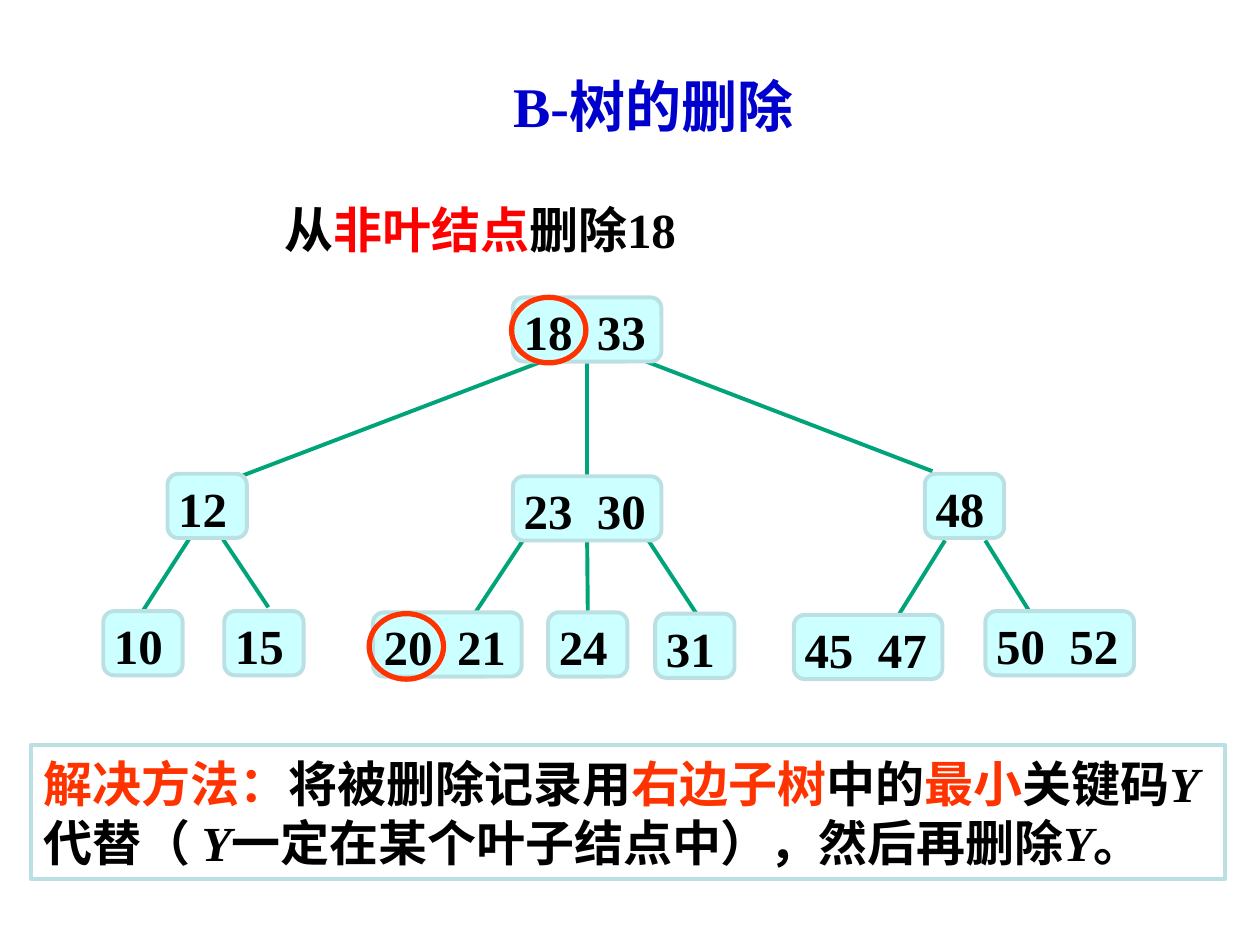
from lxml.etree import SubElement
from pptx import Presentation
from pptx.dml.color import RGBColor
from pptx.enum.shapes import MSO_CONNECTOR, MSO_SHAPE
from pptx.enum.text import MSO_ANCHOR, PP_ALIGN
from pptx.oxml.ns import qn
from pptx.util import Inches, Pt

BLACK, RED, ORANGE, BLUE = "000000", "FF0000", "FF3300", "0000CC"
PALE, BORDER, GREEN = "CCFFFF", "BBE0E3", "00A479"
SERIF = "Times New Roman"

presentation = Presentation()
presentation.slide_width = Inches(10)
presentation.slide_height = Inches(7.5)
slide = presentation.slides.add_slide(presentation.slide_layouts[6])


def add_outlined(kind, left, top, width, height, line_color, line_width, fill=None):
    shape = slide.shapes.add_shape(kind, Inches(left), Inches(top), Inches(width), Inches(height))
    shape.shadow.inherit = False
    shape.line.color.rgb = RGBColor.from_string(line_color)
    shape.line.width = Pt(line_width)
    if fill:
        shape.fill.solid()
        shape.fill.fore_color.rgb = RGBColor.from_string(fill)
    else:
        shape.fill.background()
    return shape


def write_runs(shape, runs, size, alignment, anchor, wrap=True):
    frame = shape.text_frame
    frame.word_wrap = wrap
    frame.vertical_anchor = anchor
    paragraph = frame.paragraphs[0]
    paragraph.alignment = alignment
    for text, color, font, italic in runs:
        run = paragraph.add_run()
        run.text = text
        run.font.name = font
        run.font.size = Pt(size)
        run.font.bold = True
        run.font.italic = italic
        run.font.color.rgb = RGBColor.from_string(color)


title = slide.shapes.add_textbox(Inches(2.9), Inches(0.52), Inches(4.57), Inches(0.63))
write_runs(title, [("B-树的删除", BLUE, SERIF, False)], 32, PP_ALIGN.CENTER, MSO_ANCHOR.TOP)

subtitle = slide.shapes.add_textbox(Inches(2.16), Inches(1.53), Inches(3.45), Inches(0.57))
subtitle_runs = [
    ("从", BLACK, SERIF, False),
    ("非叶结点", RED, "Arial", False),
    ("删除18", BLACK, SERIF, False),
]
write_runs(subtitle, subtitle_runs, 28, PP_ALIGN.LEFT, MSO_ANCHOR.MIDDLE, wrap=False)

method = add_outlined(MSO_SHAPE.RECTANGLE, 0.25, 5.91, 9.47, 1.07, BORDER, 2.25)
method_runs = [
    ("解决方法：", ORANGE, SERIF, False),
    ("将被删除记录用", BLACK, SERIF, False),
    ("右边子树", ORANGE, SERIF, False),
    ("中的", BLACK, SERIF, False),
    ("最小", ORANGE, SERIF, False),
    ("关键码", BLACK, SERIF, False),
    ("Y", BLACK, SERIF, True),
    ("代替（ ", BLACK, SERIF, False),
    ("Y", BLACK, SERIF, True),
    ("一定在某个叶子结点中），然后再删除", BLACK, SERIF, False),
    ("Y", BLACK, SERIF, True),
    ("。", BLACK, SERIF, False),
]
write_runs(method, method_runs, 28, PP_ALIGN.LEFT, MSO_ANCHOR.MIDDLE)

edges = [
    (4.3, 2.87, 1.91, 3.78, None),
    (4.67, 2.86, 4.67, 3.76, ("18  33", "23  30")),
    (5.13, 2.87, 7.4, 3.74, None),
    (1.5, 4.28, 1.12, 4.87, None),
    (1.77, 4.28, 2.13, 4.82, None),
    (4.15, 4.29, 3.76, 4.88, None),
    (4.67, 4.29, 4.67, 4.9, ("23  30", "24")),
    (5.14, 4.28, 5.56, 4.92, None),
    (7.5, 4.29, 7.12, 4.9, None),
    (7.82, 4.29, 8.2, 4.9, None),
]
joined_edges = []
for start_x, start_y, end_x, end_y, joined in edges:
    edge = slide.shapes.add_connector(
        MSO_CONNECTOR.STRAIGHT, Inches(start_x), Inches(start_y), Inches(end_x), Inches(end_y)
    )
    edge.line.color.rgb = RGBColor.from_string(GREEN)
    edge.line.width = Pt(2.25)
    SubElement(edge.line._get_or_add_ln().getparent(), qn("a:effectLst"))
    if joined:
        joined_edges.append((edge, joined))

node_positions = [
    ("18  33", 4.07, 2.36),
    ("12", 1.33, 3.76),
    ("23  30", 4.07, 3.78),
    ("48", 7.34, 3.76),
    ("10", 0.82, 4.85),
    ("15", 1.78, 4.85),
    ("20  21", 2.96, 4.86),
    ("24", 4.35, 4.86),
    ("31", 5.2, 4.87),
    ("45  47", 6.3, 4.88),
    ("50  52", 7.82, 4.85),
]
nodes = {}
for keys, left, top in node_positions:
    width = 1.18 if len(keys) > 2 else 0.63
    node = add_outlined(MSO_SHAPE.ROUNDED_RECTANGLE, left, top, width, 0.51, BORDER, 2.25, PALE)
    node.adjustments[0] = 0.17
    frame = node.text_frame
    frame.margin_left, frame.margin_right = Inches(0.06), Inches(0.02)
    frame.margin_top = frame.margin_bottom = Inches(0.01)
    write_runs(node, [(keys, BLACK, SERIF, False)], 28, PP_ALIGN.JUSTIFY, MSO_ANCHOR.TOP)
    nodes[keys] = node

for edge, (parent, child) in joined_edges:
    edge.begin_connect(nodes[parent], 2)
    edge.end_connect(nodes[child], 0)

for left, top in [(4.06, 2.36), (2.93, 4.87)]:
    add_outlined(MSO_SHAPE.OVAL, left, top, 0.59, 0.52, ORANGE, 3)

presentation.save("out.pptx")
